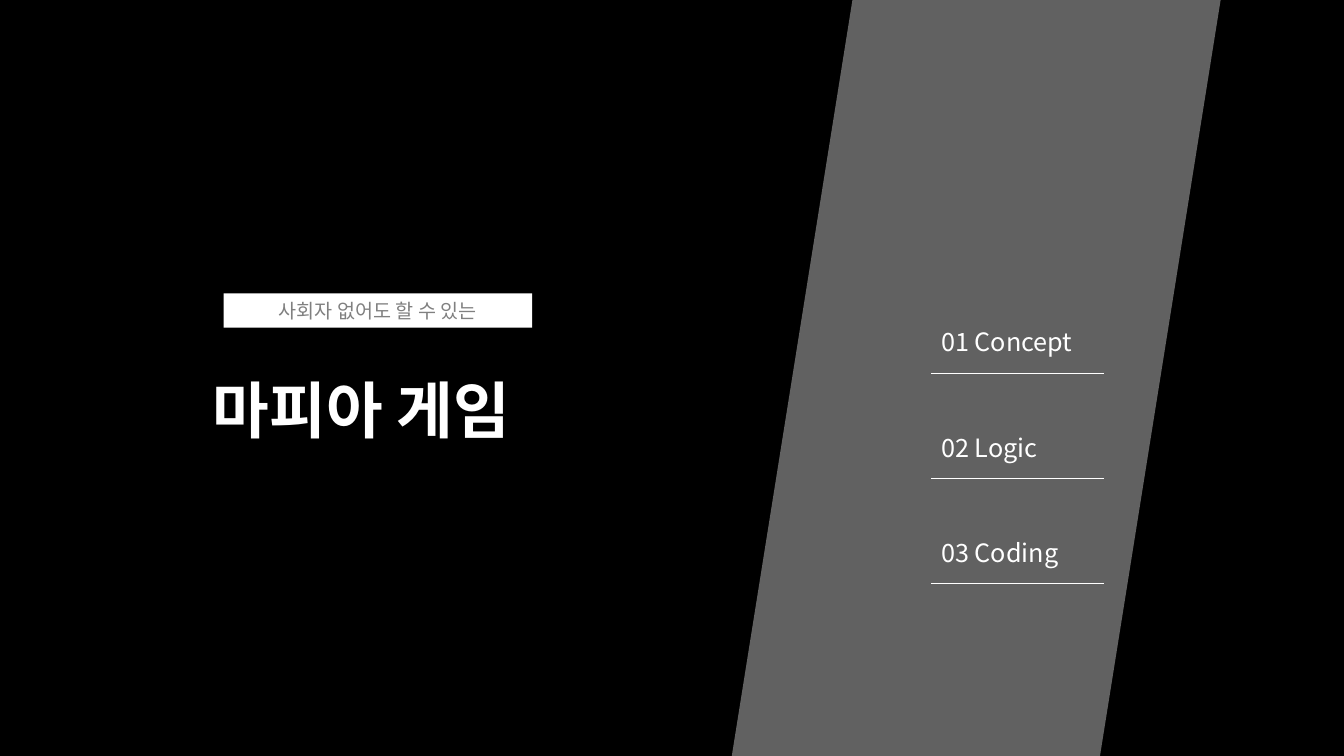
from dataclasses import dataclass

from lxml import etree
from pptx import Presentation
from pptx.dml.color import RGBColor
from pptx.enum.shapes import MSO_CONNECTOR, MSO_SHAPE
from pptx.enum.text import MSO_ANCHOR, MSO_AUTO_SIZE, PP_ALIGN
from pptx.oxml.ns import qn
from pptx.util import Inches, Pt

RECTANGLE, PARALLELOGRAM = MSO_SHAPE.RECTANGLE, MSO_SHAPE.PARALLELOGRAM
STRAIGHT = MSO_CONNECTOR.STRAIGHT
LEFT, CENTER = PP_ALIGN.LEFT, PP_ALIGN.CENTER
TOP, MIDDLE = MSO_ANCHOR.TOP, MSO_ANCHOR.MIDDLE
FIXED, GROW = MSO_AUTO_SIZE.NONE, MSO_AUTO_SIZE.SHAPE_TO_FIT_TEXT
TITLE_ONLY = 5


@dataclass(frozen=True)
class Theme:
    """Colours, font and type sizes of the cover."""
    font: str = "Noto Sans CJK KR"
    background: RGBColor = RGBColor(0, 0, 0)
    light: RGBColor = RGBColor(255, 255, 255)
    muted: RGBColor = RGBColor(128, 128, 128)
    title_size: int = 44
    item_size: int = 18
    tagline_size: int = 14
    rule_width: float = 0.5
    band_opacity: int = 38


class Cover:
    """Draws on one slide, with lengths in percent of its width and height."""

    def __init__(self, deck, theme):
        """Add the slide and paint its background."""
        self.deck, self.theme = deck, theme
        self.slide = deck.slides.add_slide(deck.slide_layouts[TITLE_ONLY])
        self.slide.background.fill.solid()
        self.slide.background.fill.fore_color.rgb = theme.background

    def place(self, *shares):
        """Turn alternating horizontal and vertical percentages into lengths."""
        sides = (self.deck.slide_width, self.deck.slide_height)
        return [round(sides[i % 2] * share / 100) for i, share in enumerate(shares)]

    def set_text(self, frame, wording, size, color, bold=False, align=LEFT,
                 anchor=TOP, wrap=True, fit=GROW):
        """Fill a text frame with one styled run."""
        frame.word_wrap, frame.auto_size, frame.vertical_anchor = wrap, fit, anchor
        paragraph = frame.paragraphs[0]
        paragraph.alignment = align
        run = paragraph.add_run()
        run.text = wording
        run.font.size, run.font.bold = Pt(size), bold
        run.font.color.rgb = color
        run.font.name = self.theme.font
        east_asian = etree.SubElement(run.font._element, qn("a:ea"))
        east_asian.set("typeface", self.theme.font)

    def title(self, wording, box):
        """Move and fill the title placeholder."""
        heading = self.slide.shapes.title
        heading.left, heading.top, heading.width, heading.height = self.place(*box)
        self.set_text(heading.text_frame, wording, self.theme.title_size,
                      self.theme.light, bold=True)

    def panel(self, outline, box, opacity=100):
        """Add a light preset shape without a border."""
        panel = self.slide.shapes.add_shape(outline, *self.place(*box))
        panel.shadow.inherit = False
        panel.fill.solid()
        panel.fill.fore_color.rgb = self.theme.light
        panel.line.fill.background()
        if opacity < 100:
            color = panel._element.spPr.find(qn("a:solidFill"))[0]
            etree.SubElement(color, qn("a:alpha")).set("val", str(opacity * 1000))
        return panel

    def tagline(self, wording, box):
        """Add a light strip with centred muted wording."""
        strip = self.panel(RECTANGLE, box)
        self.set_text(strip.text_frame, wording, self.theme.tagline_size,
                      self.theme.muted, align=CENTER, anchor=MIDDLE, fit=FIXED)

    def label(self, wording, box):
        """Add a one-line label."""
        label = self.slide.shapes.add_textbox(*self.place(*box))
        self.set_text(label.text_frame, wording, self.theme.item_size,
                      self.theme.light, wrap=False)

    def rule(self, left, right, level):
        """Add a thin horizontal rule."""
        rule = self.slide.shapes.add_connector(
            STRAIGHT, *self.place(left, level, right, level))
        rule.line.color.rgb = self.theme.light
        rule.line.width = Pt(self.theme.rule_width)
        etree.SubElement(rule._element.spPr, qn("a:effectLst"))


def main():
    """Build the cover and save it."""
    deck = Presentation()
    deck.slide_width, deck.slide_height = Inches(13.33), Inches(7.5)
    theme = Theme()
    cover = Cover(deck, theme)
    cover.panel(PARALLELOGRAM, (54.45, -1.73, 36.53, 101.73), theme.band_opacity)
    cover.title("마피아 게임", (15.08, 48.53, 28.58, 11.2))
    cover.tagline("사회자 없어도 할 수 있는", (16.65, 38.8, 22.95, 4.53))

    contents = [("01 Concept", 11.93), ("02 Logic", 9), ("03 Coding", 10.5)]
    left, right, first_rule, pitch = 69.3, 82.12, 49.33, 13.93
    label_rise, label_height = 6.8, 5.33
    for row, (entry, width) in enumerate(contents):
        level = first_rule + row * pitch
        cover.rule(left, right, level)
        cover.label(entry, (left, level - label_rise, width, label_height))
    deck.save("out.pptx")


if __name__ == "__main__":
    main()
